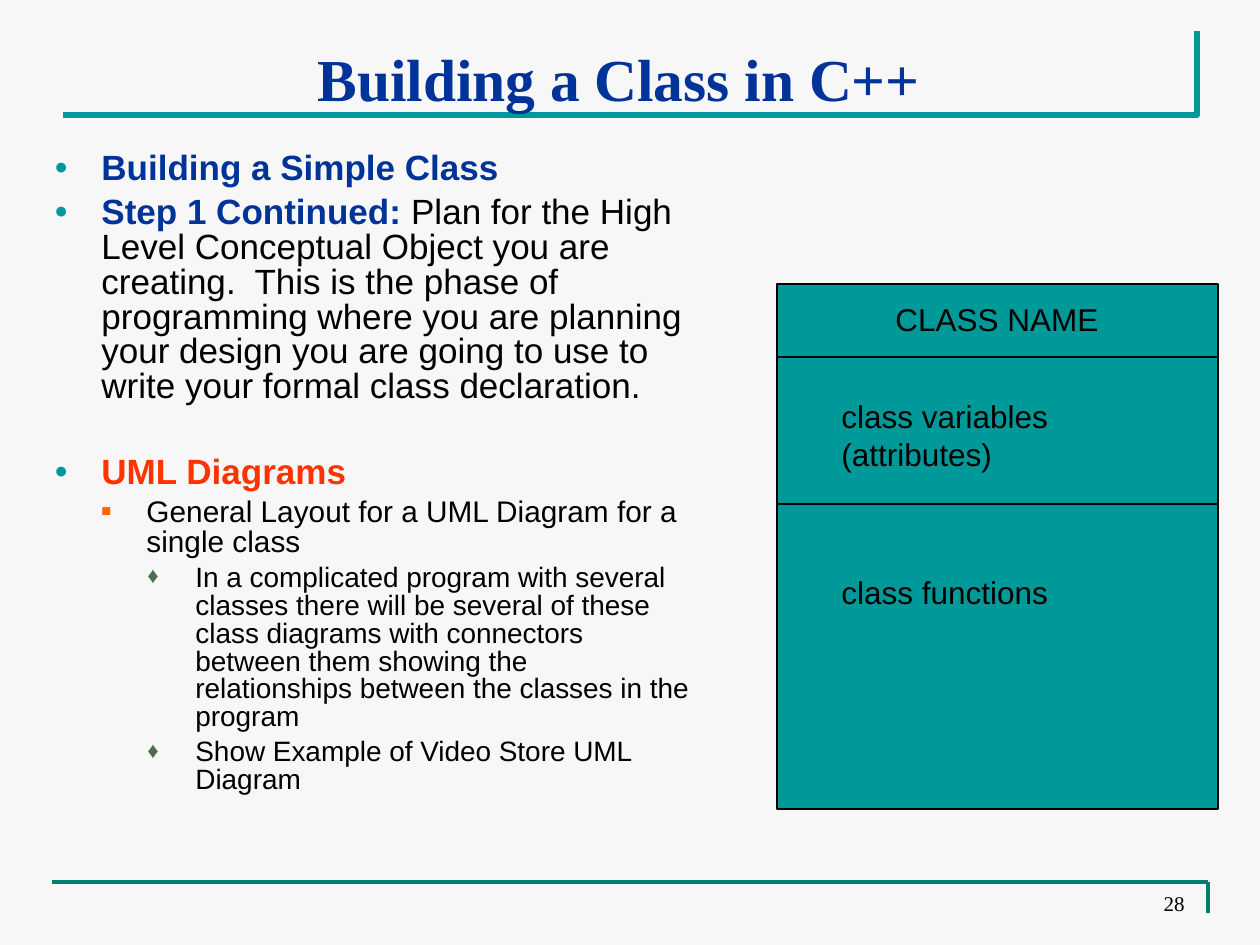
from dataclasses import dataclass

from lxml import etree
from pptx import Presentation, util as u
from pptx.dml.color import RGBColor
from pptx.enum import shapes, text
from pptx.oxml.ns import qn

PX = 914400 / 126
COLORS = {
    "paper": "F7F7F7", "teal": "009999", "footer": "027E6F", "navy": "003399",
    "black": "000000", "red": "FF3300", "orange": "FF6600", "green": "4C6D4E",
}
SANS, SERIF = "Arial", "Times New Roman"


def px(length):
    return u.Emu(round(length * PX))


def rgb(color):
    return RGBColor.from_string(COLORS[color])


@dataclass
class Level:
    size: int
    margin: int
    hang: int
    before: float
    bullet: str
    bullet_color: str
    bullet_percent: int


LEVELS = [
    Level(20, 47, 47, 5, "●", "teal", 65),
    Level(17, 92, 45, 4.2, "■", "orange", 55),
    Level(16, 141, 48, 4, "♦", "green", 80),
]


class Deck:
    line_spacing = 0.83

    def __init__(self, slide):
        self.slide = slide
        fill = slide.background.fill
        fill.solid()
        fill.fore_color.rgb = rgb("paper")

    def stroke(self, part, color, width):
        part.line.color.rgb = rgb(color)
        part.line.width = u.Pt(width)

    def line(self, x1, y1, x2, y2, color, width):
        rule = self.slide.shapes.add_connector(
            shapes.MSO_CONNECTOR.STRAIGHT, px(x1), px(y1), px(x2), px(y2))
        self.stroke(rule, color, width)
        etree.SubElement(rule._element.spPr, qn("a:effectLst"))

    def corner(self, points, color, width):
        """Draw an open, unfilled outline through the points."""
        builder = self.slide.shapes.build_freeform(*points[0], scale=PX)
        builder.add_line_segments(points[1:], close=False)
        outline = builder.convert_to_shape()
        outline.fill.background()
        outline.shadow.inherit = False
        self.stroke(outline, color, width)

    def box(self, x, y, w, h, fill, color, width):
        panel = self.slide.shapes.add_shape(
            shapes.MSO_SHAPE.RECTANGLE, px(x), px(y), px(w), px(h))
        panel.shadow.inherit = False
        panel.fill.solid()
        panel.fill.fore_color.rgb = rgb(fill)
        self.stroke(panel, color, width)

    def frame(self, x, y, w, h, top=6):
        frame = self.slide.shapes.add_textbox(px(x), px(y), px(w), px(h)).text_frame
        frame.word_wrap = True
        frame.margin_top = px(top)
        return frame

    def font(self, run, size, color, name=SANS, bold=False):
        run.font.size = u.Pt(size)
        run.font.name = name
        run.font.bold = bold
        run.font.color.rgb = rgb(color)

    def label(self, x, y, w, h, words, size=18, color="black", name=SANS, bold=False,
              align=text.PP_ALIGN.LEFT, anchor=text.MSO_ANCHOR.TOP, top=6):
        frame = self.frame(x, y, w, h, top)
        frame.text = words
        frame.vertical_anchor = anchor
        paragraph = frame.paragraphs[0]
        paragraph.alignment = align
        self.font(paragraph.runs[0], size, color, name, bold)

    def bullets(self, x, y, w, h, items):
        """Each item is a level, extra points above it, and (words, color, bold) runs."""
        frame = self.frame(x, y, w, h)
        for index, (depth, extra, parts) in enumerate(items):
            paragraph = frame.add_paragraph() if index else frame.paragraphs[0]
            level = LEVELS[depth]
            paragraph.level = depth
            paragraph.line_spacing = self.line_spacing
            paragraph.space_before = u.Pt(level.before + extra)
            self.mark(paragraph, level)
            for words, color, bold in parts:
                run = paragraph.add_run()
                run.text = words
                self.font(run, level.size, color, bold=bold)

    def mark(self, paragraph, level):
        props = paragraph._p.get_or_add_pPr()
        props.set("marL", str(px(level.margin)))
        props.set("indent", str(-px(level.hang)))
        tint = etree.SubElement(props, qn("a:buClr"))
        etree.SubElement(tint, qn("a:srgbClr"), val=COLORS[level.bullet_color])
        etree.SubElement(props, qn("a:buSzPct"), val=str(level.bullet_percent * 1000))
        etree.SubElement(props, qn("a:buFont"), typeface=SANS)
        etree.SubElement(props, qn("a:buChar"), char=level.bullet)


OUTLINE = [
    (0, 0, [("Building a Simple Class", "navy", True)]),
    (0, 0, [("Step 1 Continued:", "navy", True),
            (" Plan for the High Level Conceptual Object you are creating.  This is the "
             "phase of programming where you are planning your design you are going to "
             "use to write your formal class declaration.", "black", False)]),
    (0, 24, [("UML Diagrams", "red", True)]),
    (1, 0, [("General Layout for a UML Diagram for a single class", "black", False)]),
    (2, 0, [("In a complicated program with several classes there will be several of "
             "these class diagrams with connectors between them showing the "
             "relationships between the classes in the program", "black", False)]),
    (2, 0, [("Show Example of Video Store UML Diagram", "black", False)]),
]


def main():
    prs = Presentation()
    prs.slide_width, prs.slide_height = px(1260), px(945)
    deck = Deck(prs.slides.add_slide(prs.slide_layouts[6]))

    deck.corner([(1197, 31), (1197, 115), (63, 115)], "teal", 3.5)
    deck.line(52, 882, 1208, 882, "footer", 2.25)
    deck.line(1208, 882, 1208, 913, "footer", 2.25)
    deck.label(52, 28, 1134, 48, "Building a Class in C++", 34, "navy", SERIF, True,
               text.PP_ALIGN.CENTER, top=14)
    deck.bullets(42, 147, 661, 777, OUTLINE)

    left, width = 777, 441
    deck.box(left, 284, width, 525, "teal", "black", 0.75)
    for divider in (357, 504):
        deck.line(left, divider, left + width, divider, "black", 0.75)
    deck.label(829, 294, 336, 50, "CLASS NAME", align=text.PP_ALIGN.CENTER)
    deck.label(829, 391, 336, 88, "class variables (attributes)")
    deck.label(829, 567, 336, 50, "class functions")

    deck.label(903, 892, 294, 30, "28", 12, name=SERIF,
               align=text.PP_ALIGN.RIGHT, anchor=text.MSO_ANCHOR.BOTTOM)
    prs.save("out.pptx")


if __name__ == "__main__":
    main()
